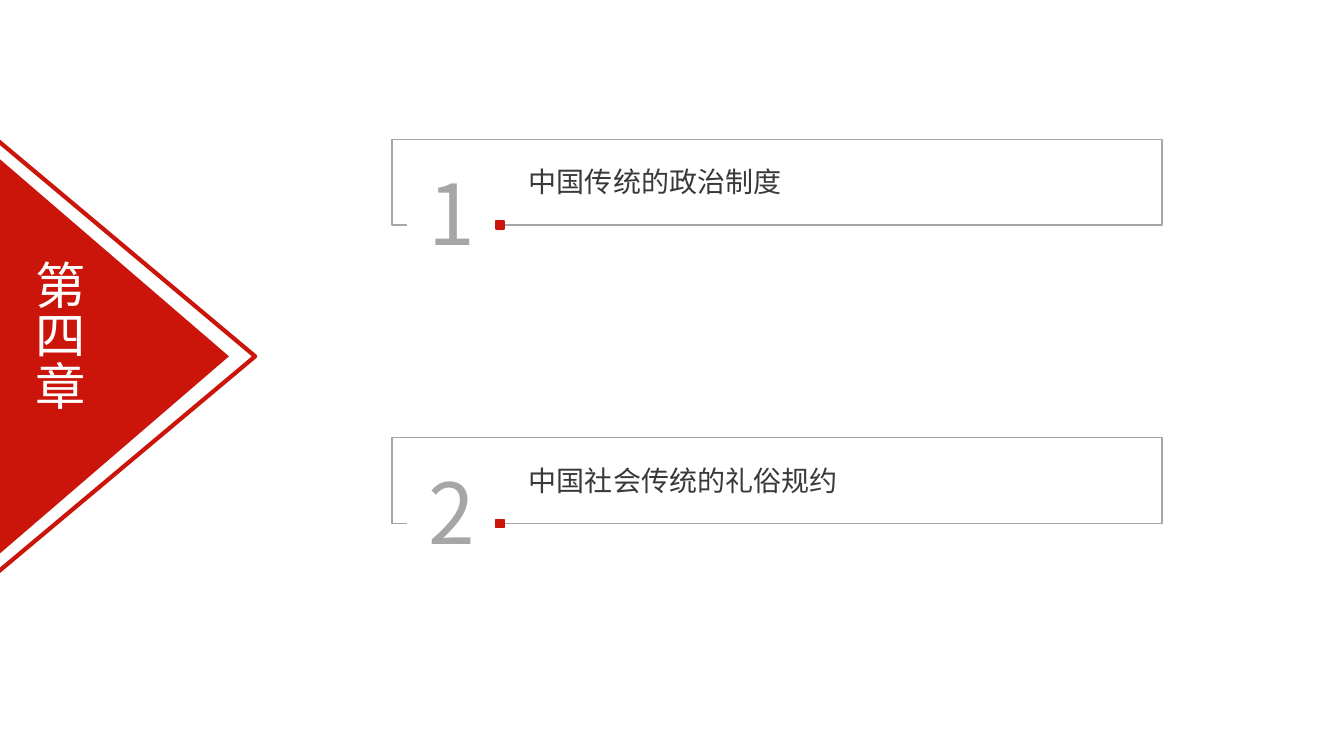
from lxml.etree import SubElement
from pptx import Presentation
from pptx.dml.color import RGBColor
from pptx.enum.shapes import MSO_SHAPE
from pptx.enum.text import MSO_ANCHOR, MSO_AUTO_SIZE, PP_ALIGN
from pptx.oxml.ns import qn
from pptx.util import Cm, Pt

FONT = "Noto Sans CJK SC"
RED, GREY, DARK, WHITE = "CB150A", "A6A6A6", "3B3838", "FFFFFF"
SECTIONS = ["中国传统的政治制度", "中国社会传统的礼俗规约"]


def color(hex_code):
    return RGBColor.from_string(hex_code)


def add_figure(shapes, kind, box, fill=None, line=None, line_width=1):
    figure = shapes.add_shape(kind, *map(Cm, box))
    figure.shadow.inherit = False
    if fill:
        figure.fill.solid()
        figure.fill.fore_color.rgb = color(fill)
    else:
        figure.fill.background()
    if line:
        figure.line.color.rgb = color(line)
        figure.line.width = Pt(line_width)
    else:
        figure.line.fill.background()
    return figure


def write(holder, wording, size, ink, align=PP_ALIGN.LEFT, **frame_format):
    """Put one formatted line of text in a shape, text box or placeholder."""
    frame = holder.text_frame
    formats = {"word_wrap": True, "auto_size": MSO_AUTO_SIZE.SHAPE_TO_FIT_TEXT}
    for name, value in (formats | frame_format).items():
        setattr(frame, name, value)
    paragraph = frame.paragraphs[0]
    paragraph.alignment = align
    run = paragraph.add_run()
    run.text = wording
    for name, value in {"name": FONT, "size": Pt(size)}.items():
        setattr(run.font, name, value)
    run.font.color.rgb = color(ink)
    SubElement(run.font._element, qn("a:ea"), typeface=FONT)


def add_arrowhead(slide, left, middle, depth, height, **look):
    """Draw a triangle that points right, centred on the height middle."""
    box = (left + (depth - height) / 2, middle - depth / 2, height, depth)
    add_figure(slide.shapes, MSO_SHAPE.ISOSCELES_TRIANGLE, box, **look).rotation = 90


def add_chapter(slide, left, middle):
    add_arrowhead(slide, left, middle, 5.77, 9.93, fill=RED)
    chapter = slide.shapes.title
    place = {"left": 0.43, "top": middle - 2.55, "width": 2.06, "height": 5.1}
    for name, value in place.items():
        setattr(chapter, name, Cm(value))
    write(chapter, "第四章", 36, WHITE, PP_ALIGN.CENTER, vertical_anchor=MSO_ANCHOR.TOP)
    chapter.text_frame._txBody.bodyPr.set("vert", "eaVert")
    slide.shapes._spTree.append(chapter._element)
    add_arrowhead(slide, left - 0.1, middle, 6.53, 10.95, line=RED, line_width=3)


def add_section(slide, number, wording, left, top, width, height):
    parts = slide.shapes.add_group_shape().shapes
    add_figure(parts, MSO_SHAPE.RECTANGLE, (left, top, width, height), line=GREY)
    numeral = add_figure(parts, MSO_SHAPE.RECTANGLE,
                         (left + 0.38, top + 0.43, 2.24, 2.82), fill=WHITE)
    write(numeral, str(number), 60, GREY, PP_ALIGN.CENTER)
    add_figure(parts, MSO_SHAPE.RECTANGLE,
               (left + 2.62, top + height - 0.1, 0.2, 0.2), fill=RED, line=RED)
    caption_width = 0.51 + 0.71 * len(wording)
    caption = slide.shapes.add_textbox(
        *map(Cm, (left + 3.2, top + 0.52, caption_width, 1.12)))
    write(caption, wording, 20, DARK, word_wrap=False)


def main():
    deck = Presentation()
    deck.slide_width, deck.slide_height = Cm(33.87), Cm(19.05)
    slide = deck.slides.add_slide(deck.slide_layouts[5])
    for index, wording in enumerate(SECTIONS):
        add_section(slide, index + 1, wording, 9.88, 3.51 + 7.52 * index, 19.41, 2.16)
    add_chapter(slide, 0, 8.98)
    deck.save("out.pptx")


if __name__ == "__main__":
    main()
